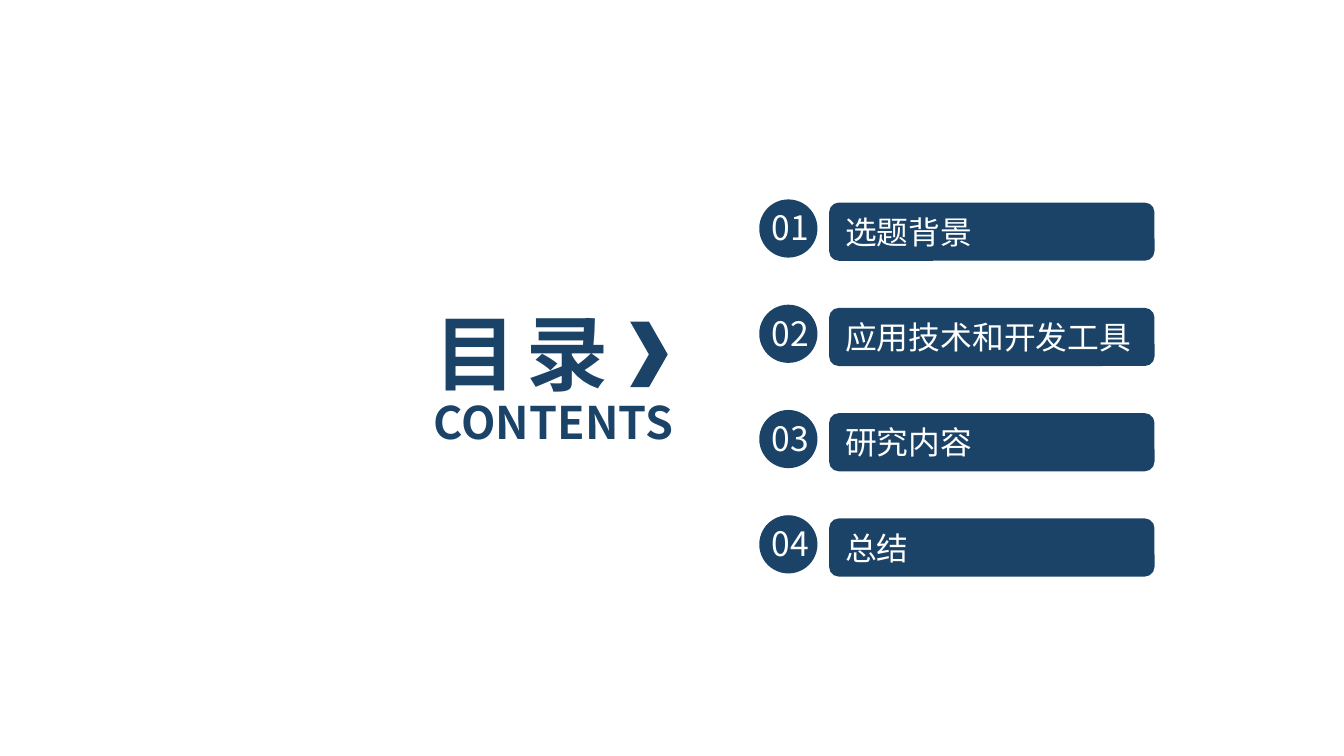
"""Builds a contents slide with a heading and four numbered entries."""
from lxml import etree
from pptx import Presentation
from pptx import util as u
from pptx.dml.color import RGBColor
from pptx.enum import shapes, text
from pptx.oxml.ns import qn

COLOURS = {"navy": "1B4367", "white": "FFFFFF"}
ENTRIES = ["选题背景", "应用技术和开发工具", "研究内容", "总结"]
FIRST_TOP, PITCH = 3.83, 1.99


class ContentsSlide:
    """Holds the style and the current slide."""

    def __init__(self, deck, font):
        self.font = font
        self.page = deck.slides.add_slide(deck.slide_layouts[5])

    def set_text(self, shape, words, size, colour, bold=False, align=text.PP_ALIGN.LEFT, spacing=None):
        frame = shape.text_frame
        frame.text = words
        frame.word_wrap = True
        frame.auto_size = text.MSO_AUTO_SIZE.NONE
        frame.vertical_anchor = text.MSO_ANCHOR.MIDDLE
        para = frame.paragraphs[0]
        para.alignment = align
        para.font.size = u.Pt(size)
        para.font.bold = bold
        para.font.name = self.font
        para.font.color.rgb = RGBColor.from_string(COLOURS[colour])
        for span in para.runs:
            properties = span._r.get_or_add_rPr()
            etree.SubElement(properties, qn("a:ea")).set("typeface", self.font)
            if spacing is not None:
                properties.set("spc", str(round(spacing * 100)))

    def title(self, words, left, top, width, height, **style):
        box = self.page.shapes.title
        box.left, box.top, box.width, box.height = map(u.Cm, (left, top, width, height))
        self.set_text(box, words, **style)

    def label(self, words, left, top, width, height, parent=None, **style):
        box = (parent or self.page).shapes.add_textbox(*map(u.Cm, (left, top, width, height)))
        self.set_text(box, words, **style)

    def shape(self, kind, left, top, width, height, parent=None):
        shape = (parent or self.page).shapes.add_shape(kind, *map(u.Cm, (left, top, width, height)))
        shape.shadow.inherit = False
        shape.fill.solid()
        shape.fill.fore_color.rgb = RGBColor.from_string(COLOURS["navy"])
        shape.line.fill.background()
        return shape

    def entry(self, number, words, top):
        bar = self.shape(shapes.MSO_SHAPE.ROUNDED_RECTANGLE, 15.67, top, 6.15, 1.1)
        self.set_text(bar, words, 17, "white")
        badge = self.page.shapes.add_group_shape()
        self.shape(shapes.MSO_SHAPE.OVAL, 14.35, top - 0.06, 1.1, 1.1, parent=badge)
        self.label(f"{number:02}", 14.27, top - 0.04, 1.33, 1.02, parent=badge,
                   size=18, colour="white", align=text.PP_ALIGN.CENTER)


def main():
    deck = Presentation()
    deck.slide_width, deck.slide_height = u.Cm(25.4), u.Cm(14.29)
    contents = ContentsSlide(deck, "Noto Sans CJK SC")
    contents.title("目 录", 7.95, 5.59, 5.97, 2.13, size=44, colour="navy", bold=True, spacing=-2.2)
    contents.label("CONTENTS", 7.95, 7.34, 5.87, 1.27, size=24, colour="navy", bold=True)
    for index, words in enumerate(ENTRIES):
        contents.entry(index + 1, words, FIRST_TOP + index * PITCH)
    contents.shape(shapes.MSO_SHAPE.CHEVRON, 11.91, 6.08, 0.71, 1.24)
    deck.save("out.pptx")


if __name__ == "__main__":
    main()
